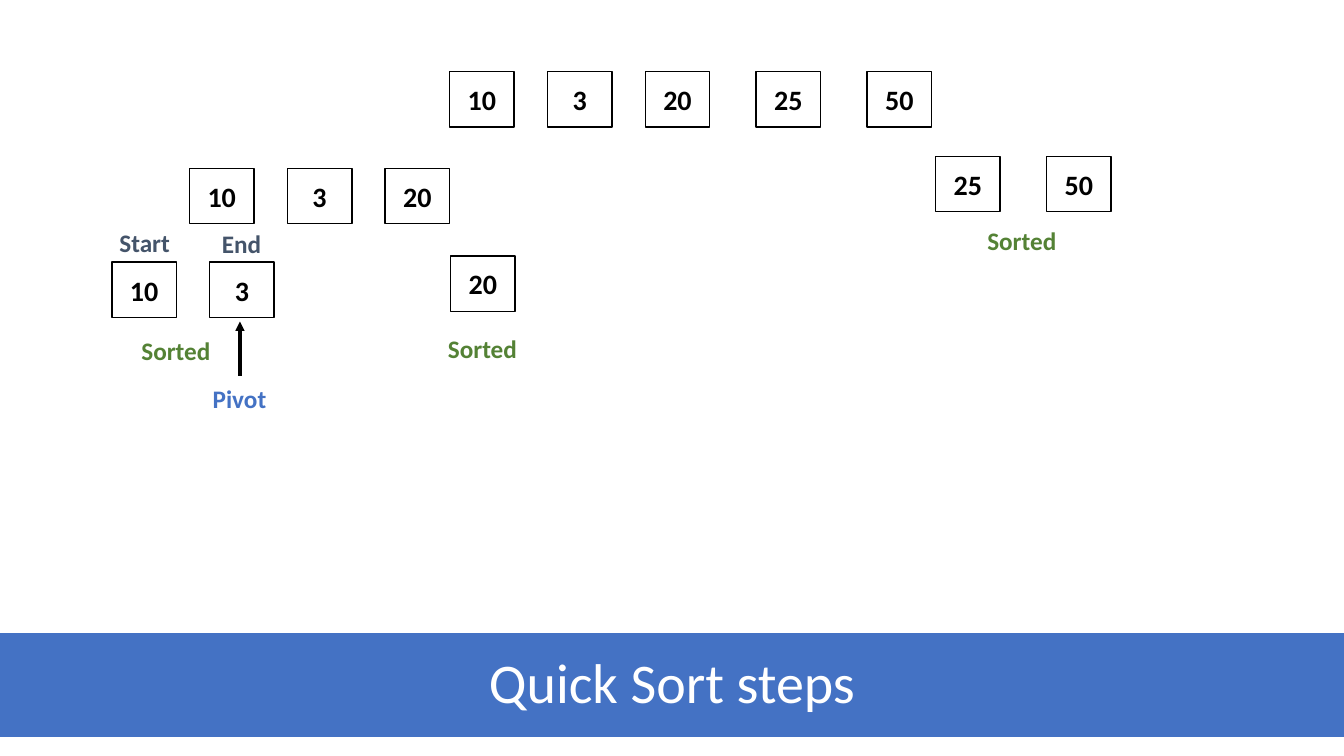
from lxml.etree import SubElement
from pptx import Presentation
from pptx.dml.color import RGBColor
from pptx.enum.shapes import MSO_CONNECTOR, MSO_SHAPE
from pptx.enum.text import MSO_ANCHOR, MSO_AUTO_SIZE, PP_ALIGN
from pptx.oxml.ns import qn
from pptx.util import Inches, Pt

SLIDE_W, SLIDE_H = 13.33, 7.5
BOX_W, BOX_H = 0.64, 0.55
NARROW, WIDE = 0.97, 1.1  # distance from one box to the next
LABEL_H = 0.4
BLACK, WHITE = "000000", "FFFFFF"
BLUE, SLATE, GREEN = "4472C4", "44546A", "548235"

# left and top of the first box, step, values
RUNS = [
    (4.46, 0.71, NARROW, [10, 3, 20]),
    (7.5, 0.71, WIDE, [25, 50]),
    (1.88, 1.67, NARROW, [10, 3, 20]),
    (9.28, 1.55, WIDE, [25, 50]),
    (4.47, 2.54, NARROW, [20]),
    (1.11, 2.6, NARROW, [10, 3]),
]
# left, top, width, text, colour
LABELS = [
    (1.9, 3.75, 0.95, "Pivot", BLUE),
    (0.96, 2.21, 0.95, "Start", SLATE),
    (1.92, 2.22, 0.95, "End", SLATE),
    (9.57, 2.19, 1.13, "Sorted", GREEN),
    (1.18, 3.28, 1.13, "Sorted", GREEN),
    (4.22, 3.26, 1.13, "Sorted", GREEN),
]


def rgb(color):
    return RGBColor.from_string(color)


def inches(*lengths):
    return [Inches(length) for length in lengths]


def fill(shape, color):
    shape.fill.solid()
    shape.fill.fore_color.rgb = rgb(color)


def write(shape, text, size, color, bold=True):
    """Put one centred, formatted paragraph into the shape."""
    tf = shape.text_frame
    tf.text = text
    tf.word_wrap = True
    p = tf.paragraphs[0]
    p.alignment = PP_ALIGN.CENTER
    font = p.runs[0].font
    font.name, font.size, font.bold = "Calibri", Pt(size), bold
    font.color.rgb = rgb(color)
    return tf


def add_title(s, text):
    title = s.shapes.title
    title.left, title.top, title.width, title.height = inches(0, 6.28, SLIDE_W, 1.03)
    fill(title, BLUE)
    tf = write(title, text, 40, WHITE, bold=False)
    tf.auto_size = MSO_AUTO_SIZE.NONE
    tf.vertical_anchor = MSO_ANCHOR.MIDDLE
    tf.paragraphs[0].line_spacing = 0.9


def add_run(s, left, top, step, values):
    """Draw consecutive array elements as a row of boxes."""
    for i, value in enumerate(values):
        sp = s.shapes.add_shape(MSO_SHAPE.RECTANGLE,
                                *inches(left + i * step, top, BOX_W, BOX_H))
        sp.shadow.inherit = False
        fill(sp, WHITE)
        sp.line.color.rgb = rgb(BLACK)
        sp.line.width = Pt(1)
        write(sp, str(value), 20, BLACK).vertical_anchor = MSO_ANCHOR.MIDDLE


def add_label(s, left, top, width, text, color):
    box = s.shapes.add_textbox(*inches(left, top, width, LABEL_H))
    write(box, text, 18, color).auto_size = MSO_AUTO_SIZE.SHAPE_TO_FIT_TEXT


def add_arrow(s, x, start_y, end_y):
    arrow = s.shapes.add_connector(MSO_CONNECTOR.STRAIGHT,
                                   *inches(x, start_y, x, end_y))
    arrow.line.color.rgb = rgb(BLACK)
    arrow.line.width = Pt(2.25)
    SubElement(arrow.line._get_or_add_ln(), qn("a:tailEnd"), type="triangle")
    SubElement(arrow._element.spPr, qn("a:effectLst"))


def main():
    prs = Presentation()
    prs.slide_width, prs.slide_height = inches(SLIDE_W, SLIDE_H)
    s = prs.slides.add_slide(prs.slide_layouts.get_by_name("Title Only"))
    add_title(s, "Quick Sort steps")
    for run in RUNS:
        add_run(s, *run)
    for label in LABELS:
        add_label(s, *label)
    add_arrow(s, 2.38, 3.73, 3.19)
    prs.save("out.pptx")


if __name__ == "__main__":
    main()
